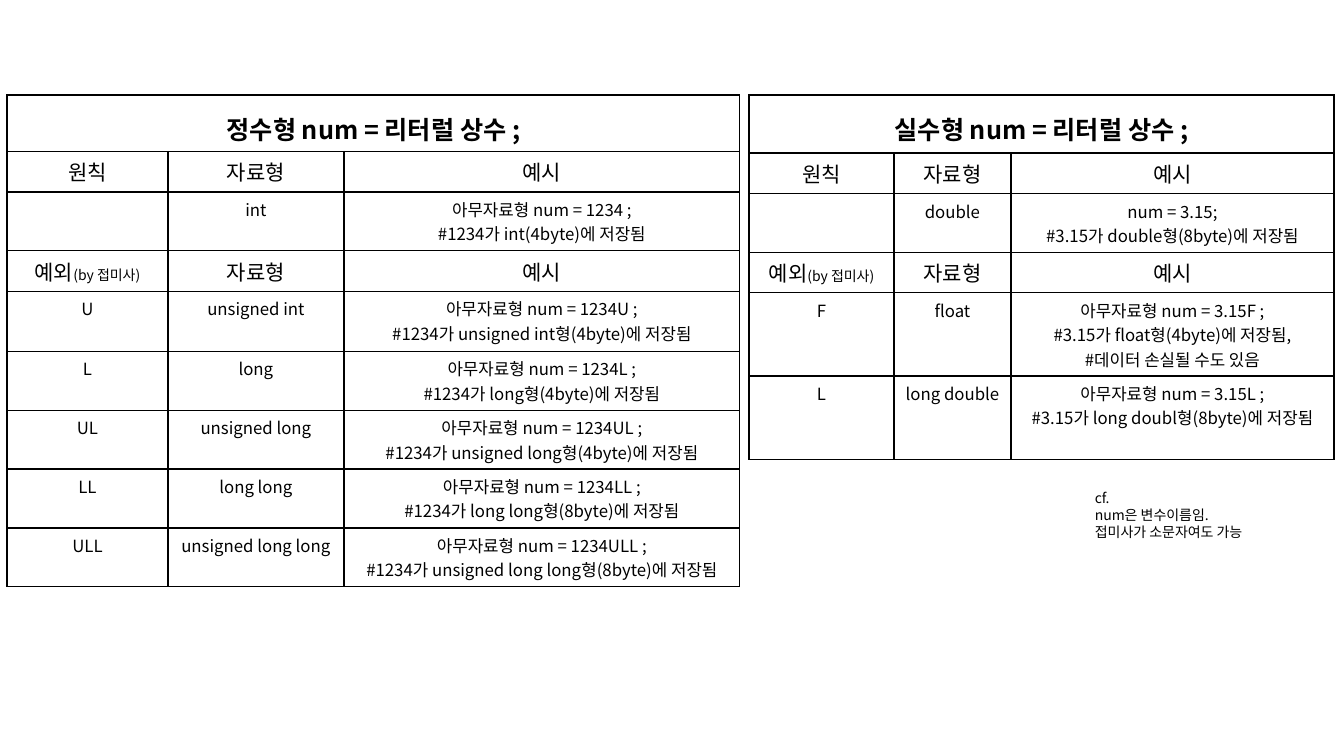
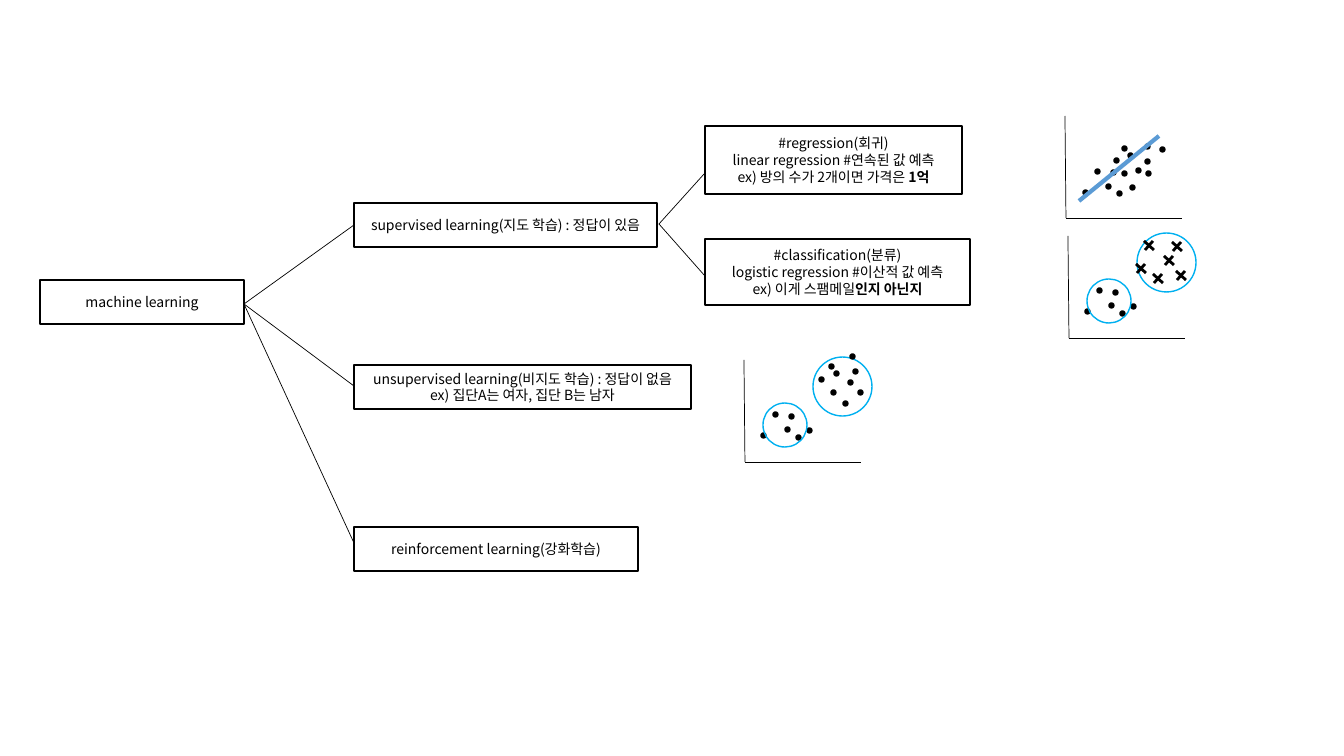
import pptx
import pptx.util
import pptx.dml.color
import pptx.enum.shapes
import pptx.enum.text
import pptx.oxml
import pptx.oxml.ns
from lxml import etree

PIXEL = 914400 / 100.8
BLACK = pptx.dml.color.RGBColor(0x00, 0x00, 0x00)
TREND_BLUE = pptx.dml.color.RGBColor(0x5B, 0x9B, 0xD5)
CLUSTER_BLUE = pptx.dml.color.RGBColor(0x00, 0xB0, 0xF0)
FONT = "Noto Sans CJK KR"
TITLE, HEADER, BODY, SMALL = 18, 15, 12, 10

SHAPES = pptx.enum.shapes.MSO_SHAPE
CENTER = pptx.enum.text.PP_ALIGN.CENTER
LEFT = pptx.enum.text.PP_ALIGN.LEFT
MIDDLE = pptx.enum.text.MSO_ANCHOR.MIDDLE


def emu(pixels):
    return pptx.util.Emu(round(pixels * PIXEL))


def qualified(tag):
    return pptx.oxml.ns.qn(tag)


class Deck:
    def __init__(self):
        self.presentation = pptx.Presentation()
        self.presentation.slide_width = emu(1344)
        self.presentation.slide_height = emu(756)
        self.slide = None

    def new_slide(self):
        self.slide = self.presentation.slides.add_slide(self.presentation.slide_layouts[6])

    # Text
    def format_run(self, run, size, bold=False):
        run.font.size = pptx.util.Pt(size)
        run.font.bold = bold
        run.font.color.rgb = BLACK
        run.font.name = FONT
        properties = run.font._element
        properties.find(qualified("a:latin")).addnext(
            properties.makeelement(qualified("a:ea"), {"typeface": FONT}))

    def set_text(self, frame, text, size, align=CENTER, bold=False, spacing=None):
        frame.text = text
        for paragraph in frame.paragraphs:
            paragraph.alignment = align
            if spacing:
                paragraph.line_spacing = pptx.util.Pt(spacing)
            for run in paragraph.runs:
                self.format_run(run, size, bold)

    def add_ending(self, frame, text, size, bold=False):
        run = frame.paragraphs[-1].add_run()
        run.text = text
        self.format_run(run, size, bold)

    def note(self, left, top, width, height, text):
        shape = self.slide.shapes.add_textbox(emu(left), emu(top), emu(width), emu(height))
        shape.text_frame.word_wrap = True
        self.set_text(shape.text_frame, text, SMALL, LEFT, spacing=12)

    # Shapes and lines
    def shape(self, kind, left, top, width, height, line=BLACK, fill=None):
        shape = self.slide.shapes.add_shape(kind, emu(left), emu(top), emu(width), emu(height))
        shape.shadow.inherit = False
        shape.line.color.rgb = line
        shape.line.width = pptx.util.Pt(1)
        if fill is None:
            shape.fill.background()
        else:
            shape.fill.solid()
            shape.fill.fore_color.rgb = fill
        return shape

    def box(self, left, top, width, height, text, bold_end=""):
        frame = self.shape(SHAPES.RECTANGLE, left, top, width, height).text_frame
        frame.word_wrap = True
        frame.vertical_anchor = MIDDLE
        self.set_text(frame, text, SMALL, spacing=12)
        if bold_end:
            self.add_ending(frame, bold_end, SMALL, bold=True)

    def line(self, start, end, color=BLACK, width=0.5):
        connector = self.slide.shapes.add_connector(
            pptx.enum.shapes.MSO_CONNECTOR.STRAIGHT,
            emu(start[0]), emu(start[1]), emu(end[0]), emu(end[1]))
        connector.line.color.rgb = color
        connector.line.width = pptx.util.Pt(width)
        etree.SubElement(connector._element.spPr, qualified("a:effectLst"))

    # Scatter sketches, with offsets measured from the axes' origin
    def axes(self, origin):
        x, y = origin
        self.line(origin, (x + 116, y))
        self.line(origin, (x - 1, y - 102))

    def dots(self, origin, offsets):
        for dx, dy in offsets:
            self.shape(SHAPES.OVAL, origin[0] + dx, origin[1] + dy, 5, 5, fill=BLACK)

    def crosses(self, origin, offsets):
        for dx, dy in offsets:
            x, y = origin[0] + dx, origin[1] + dy
            self.line((x, y), (x + 10, y + 9), width=2)
            self.line((x + 9, y), (x + 1, y + 9), width=2)

    def cluster_rings(self, origin):
        for dx, dy, size in ((18, -59, 44), (68, -105, 59)):
            self.shape(SHAPES.OVAL, origin[0] + dx, origin[1] + dy, size, size, CLUSTER_BLUE)

    # Tables
    def border(self, cell):
        properties = cell._tc.get_or_add_tcPr()
        for position, side in enumerate("LRTB"):
            properties.insert(position, pptx.oxml.parse_xml(
                f'<a:ln{side} {pptx.oxml.ns.nsdecls("a")} w="12700"><a:solidFill>'
                f'<a:srgbClr val="{BLACK}"/></a:solidFill></a:ln{side}>'))

    def literal_table(self, left, top, widths, heights, title, rows):
        table = self.slide.shapes.add_table(
            len(heights), len(widths), emu(left), emu(top),
            emu(sum(widths)), emu(sum(heights))).table
        table.first_row = table.horz_banding = False
        for column, width in zip(table.columns, widths):
            column.width = emu(width)
        for row, height in zip(table.rows, heights):
            row.height = emu(height)
        for cell in table.iter_cells():
            cell.fill.background()
            self.border(cell)

        title_cell = table.cell(0, 0)
        title_cell.merge(table.cell(0, len(widths) - 1))
        title_cell.margin_top = emu(15)
        self.set_text(title_cell.text_frame, title, TITLE, bold=True)

        # The default type comes first, then the types chosen by suffix
        content = [("원칙", "자료형", "예시"), rows[0], ("예외", "자료형", "예시"), *rows[1:]]
        for row, texts in enumerate(content, 1):
            size = HEADER if row in (1, 3) else BODY
            for column, text in enumerate(texts):
                if text:
                    self.set_text(table.cell(row, column).text_frame, text, size)
        self.add_ending(table.cell(3, 0).text_frame, "(by 접미사)", SMALL)


deck = Deck()

# Slide 1: literal constants
deck.new_slide()
deck.literal_table(
    7, 95, (161, 176, 396), (56, 37, 46, 36, 60, 52, 58, 58, 57),
    "정수형 num = 리터럴 상수 ;",
    [("", "int", "아무자료형 num = 1234 ;\n#1234가 int(4byte)에 저장됨")] + [
        (suffix, kind, f"아무자료형 num = 1234{suffix} ;\n#1234가 {kind}형({size}byte)에 저장됨")
        for suffix, kind, size in (
            ("U", "unsigned int", 4), ("L", "long", 4), ("UL", "unsigned long", 4),
            ("LL", "long long", 8), ("ULL", "unsigned long long", 8))])
deck.literal_table(
    749, 95, (145, 117, 323), (58, 34, 56, 39, 55, 46),
    "실수형 num = 리터럴 상수 ;",
    [("", "double", "num = 3.15;\n#3.15가 double형(8byte)에 저장됨"),
     ("F", "float", "아무자료형 num = 3.15F ;\n#3.15가 float형(4byte)에 저장됨,\n"
                    "#데이터 손실될 수도 있음"),
     ("L", "long double", "아무자료형 num = 3.15L ;\n#3.15가 long doubl형(8byte)에 저장됨")])
deck.note(1085, 485, 197, 61, "cf.\nnum은 변수이름임.\n접미사가 소문자여도 가능")

# Slide 2: tree of machine learning
deck.new_slide()
deck.box(40, 280, 204, 44, "machine learning")
deck.box(354, 203, 303, 44, "supervised learning(지도 학습) : 정답이 있음")
deck.box(354, 365, 337, 44,
         "unsupervised learning(비지도 학습) : 정답이 없음\nex) 집단A는 여자, 집단 B는 남자")
deck.box(354, 527, 284, 44, "reinforcement learning(강화학습)")
deck.box(705, 126, 257, 68,
         "#regression(회귀)\nlinear regression #연속된 값 예측\nex) 방의 수가 2개이면 가격은 ", "1억")
deck.box(705, 239, 265, 66,
         "#classification(분류)\nlogistic regression #이산적 값 예측\nex) 이게 스팸메일", "인지 아닌지")
for branch_top in (225, 386, 543):
    deck.line((244, 304), (354, branch_top))
for branch_top in (173, 276):
    deck.line((659, 224), (705, branch_top))

# Regression sketch
regression = (1066, 218)
deck.axes(regression)
deck.dots(regression, (
    (17, -28), (29, -49), (51, -27), (64, -33), (70, -50), (79, -59), (94, -71), (79, -74),
    (62, -65), (56, -72), (48, -60), (45, -48), (80, -47), (40, -34), (56, -47)))
deck.line((1079, 201), (1159, 136), TREND_BLUE, 3)

# Classification and clustering sketches share the lower group
classification, clustering = (1069, 338), (745, 462)
for origin in (classification, clustering):
    deck.axes(origin)
    deck.dots(origin, ((16, -29), (28, -50), (51, -27), (62, -34), (44, -48), (40, -35)))
    deck.cluster_rings(origin)
deck.crosses(classification, (
    (67, -74), (84, -64), (95, -82), (75, -97), (107, -67), (103, -96)))
deck.dots(clustering, (
    (86, -72), (89, -91), (103, -82), (108, -93), (113, -72), (98, -61), (74, -85),
    (84, -98), (105, -108)))

deck.presentation.save("out.pptx")
